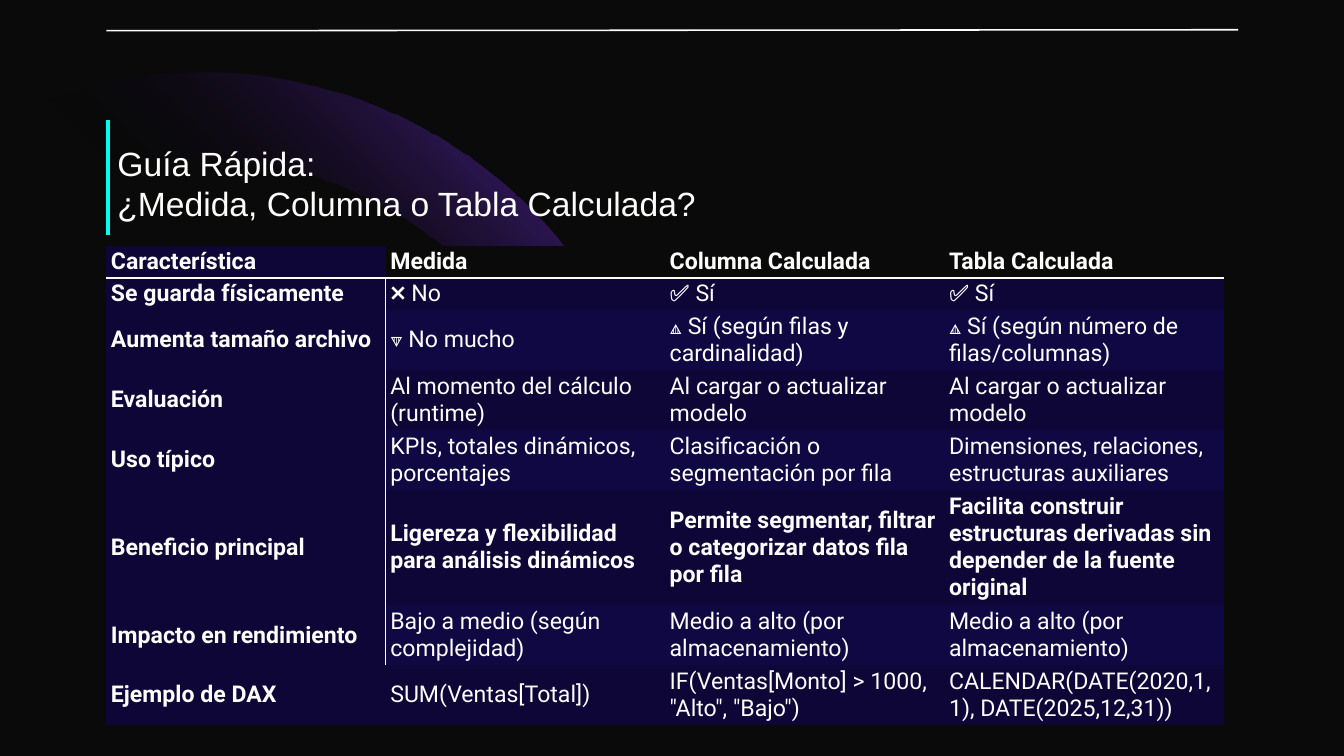
"""Build the quick guide slide on measures, calculated columns and calculated tables."""
from dataclasses import dataclass

from lxml.etree import SubElement as Sub
from pptx import Presentation
from pptx.dml.color import RGBColor as Rgb
from pptx.enum.shapes import MSO_CONNECTOR as Conn
from pptx.enum.text import MSO_ANCHOR as Anchor, MSO_AUTO_SIZE as Auto, PP_ALIGN as Align
from pptx.oxml.ns import qn
from pptx.util import Pt

HUES = {
    "back": "0A0A0A",
    "text": "FDFDFB",
    "cyan": "00FFF2",
    "navy": "0D0636",
    "band": "100843",
    "dark": "000000",
    "glow": "8236FB",
}
PLAIN = "{2D5ABB26-0587-4C30-8999-92F81FD0307C}"
WIDE, HIGH = 1919.52, 1080
COL = 399


@dataclass
class Rule:
    """A straight line."""
    x1: float
    y1: float
    x2: float
    y2: float
    hue: str
    size: float


@dataclass
class Row:
    """A table row."""
    high: float
    cells: tuple[str, ...]
    bold: bool = False


RULES = [
    Rule(154.3, 171.4, 154.3, 335.5, "cyan", 4.5),
    Rule(152, 43.9, 1768.3, 42.5, "text", 2.25),
]
START = (290.9, 104.4)
BENDS = [
    ((654.5, 104.4), (949.7, 399.6), (949.7, 763.9)),
    ((949.7, 877.7), (920.9, 984.2), (870.5, 1077.8)),
    ((869, HIGH),),
    ((721.4, HIGH),),
    ((734.4, 1062.7),),
    ((792, 977), (825.1, 874.1), (825.1, 763.9)),
    ((825.1, 468.7), (586.1, 229), (290.9, 229)),
    ((189.4, 229), (94.3, 257.8), (13.7, 306.7)),
    ((0, 315.4),),
    ((0, 172.1),),
    ((5, 169.9),),
    ((91.4, 128.2), (188.6, 104.4), START),
]
ROWS = [
    Row(45.9, ("Característica", "Medida", "Columna Calculada", "Tabla Calculada"), True),
    Row(45.9, ("Se guarda físicamente", "❌ No", "✅ Sí", "✅ Sí")),
    Row(85.6, ("Aumenta tamaño archivo", "🔽 No mucho", "🔼 Sí (según filas y cardinalidad)",
               "🔼 Sí (según número de filas/columnas)")),
    Row(85.6, ("Evaluación", "Al momento del cálculo (runtime)",
               "Al cargar o actualizar modelo", "Al cargar o actualizar modelo")),
    Row(85.6, ("Uso típico", "KPIs, totales dinámicos, porcentajes",
               "Clasificación o segmentación por fila",
               "Dimensiones, relaciones, estructuras auxiliares")),
    Row(164.8, ("Beneficio principal", "Ligereza y flexibilidad para análisis dinámicos",
                "Permite segmentar, filtrar o categorizar datos fila por fila",
                "Facilita construir estructuras derivadas sin depender de la fuente original"), True),
    Row(85.6, ("Impacto en rendimiento", "Bajo a medio (según complejidad)",
               "Medio a alto (por almacenamiento)", "Medio a alto (por almacenamiento)")),
    Row(85.6, ("Ejemplo de DAX", "SUM(Ventas[Total])",
               'IF(Ventas[Monto] > 1000, "Alto", "Bajo")',
               "CALENDAR(DATE(2020,1,1), DATE(2025,12,31))")),
]


def tint(name: str) -> Rgb:
    """Look up a colour."""
    return Rgb.from_string(HUES[name])


def write(frame, text: str, *, size: float, face: str, bold: bool = False) -> None:
    """Put formatted text in a frame."""
    para = frame.paragraphs[0]
    para.text = text
    para.alignment = Align.LEFT
    for run in para.runs:
        font = run.font
        font.size, font.name, font.bold = Pt(size), face, bold
        font.color.rgb = tint("text")


def curve(shape) -> None:
    """Join each three line steps of a bend into one curve."""
    steps = iter(list(shape._element.spPr.iter(qn("a:lnTo"))))
    for bend in BENDS:
        first, *rest = [next(steps) for _ in bend]
        for step in rest:
            first.append(step[0])
            step.getparent().remove(step)
        if rest:
            first.tag = qn("a:cubicBezTo")


def add_ring(slide) -> None:
    """Draw the glowing ring behind the text."""
    pen = slide.shapes.build_freeform(*START, scale=Pt(1))
    pen.add_line_segments([dot for bend in BENDS for dot in bend], close=True)
    ring = pen.convert_to_shape()
    curve(ring)
    ring.shadow.inherit = False
    ring.line.fill.background()
    ring.fill.gradient()
    ring.fill.gradient_angle = 45
    for stop, name, place in zip(ring.fill.gradient_stops, ("dark", "glow"), (0.52, 1)):
        stop.color.rgb, stop.position = tint(name), place
    for node, alpha in zip(ring._element.spPr.iter(qn("a:srgbClr")), (0, 88)):
        Sub(node, qn("a:alpha"), val=str(alpha * 1000))


def add_rule(slide, rule: Rule) -> None:
    """Draw a straight line."""
    ends = map(Pt, (rule.x1, rule.y1, rule.x2, rule.y2))
    line = slide.shapes.add_connector(Conn.STRAIGHT, *ends)
    line.line.color.rgb = tint(rule.hue)
    line.line.width = Pt(rule.size)
    Sub(line._element.spPr, qn("a:effectLst"))


def add_edge(cell, side: str) -> None:
    """Draw one border of a cell."""
    edge = Sub(cell._tc.get_or_add_tcPr(), qn(f"a:ln{side}"), w=str(Pt(2)))
    Sub(Sub(edge, qn("a:solidFill")), qn("a:srgbClr"), val=HUES["text"])


def cell_hue(row: int, col: int) -> str:
    """Choose the fill of a cell."""
    if col == 0:
        return "navy"
    if row == 0:
        return "back"
    return "navy" if row % 2 else "band"


def add_grid(slide) -> None:
    """Draw the table of features."""
    cols = len(ROWS[0].cells)
    high = sum(row.high for row in ROWS)
    grid = slide.shapes.add_table(len(ROWS), cols, Pt(152), Pt(351.2),
                                  Pt(COL * cols), Pt(high)).table
    grid._tbl.tblPr.find(qn("a:tableStyleId")).text = PLAIN
    for col in grid.columns:
        col.width = Pt(COL)
    for i, row in enumerate(ROWS):
        grid.rows[i].height = Pt(row.high)
        for j, text in enumerate(row.cells):
            cell = grid.cell(i, j)
            if i == 0:
                add_edge(cell, "B")
            elif j == 0 and i < len(ROWS) - 1:
                add_edge(cell, "R")
            cell.fill.solid()
            cell.fill.fore_color.rgb = tint(cell_hue(i, j))
            cell.margin_left = cell.margin_right = Pt(6.5)
            cell.margin_top = cell.margin_bottom = Pt(3.5)
            cell.vertical_anchor = Anchor.MIDDLE
            write(cell.text_frame, text, size=33, face="Roboto", bold=row.bold or j == 0)


def set_title(slide) -> None:
    """Place the title above the other shapes."""
    title = slide.shapes.title
    title.left, title.top, title.width, title.height = map(Pt, (160.6, 200, 960, 124))
    frame = title.text_frame
    frame.word_wrap = True
    frame.auto_size = Auto.NONE
    frame.vertical_anchor = Anchor.TOP
    write(frame, "Guía Rápida:\v¿Medida, Columna o Tabla Calculada?", size=48, face="Arial")
    slide.shapes._spTree.append(title._element)


def main() -> None:
    """Build and save the slide."""
    deck = Presentation()
    deck.slide_width, deck.slide_height = Pt(WIDE), Pt(HIGH)
    slide = deck.slides.add_slide(deck.slide_layouts[5])
    slide.background.fill.solid()
    slide.background.fill.fore_color.rgb = tint("back")
    add_ring(slide)
    for rule in RULES:
        add_rule(slide, rule)
    add_grid(slide)
    set_title(slide)
    deck.save("out.pptx")


if __name__ == "__main__":
    main()
